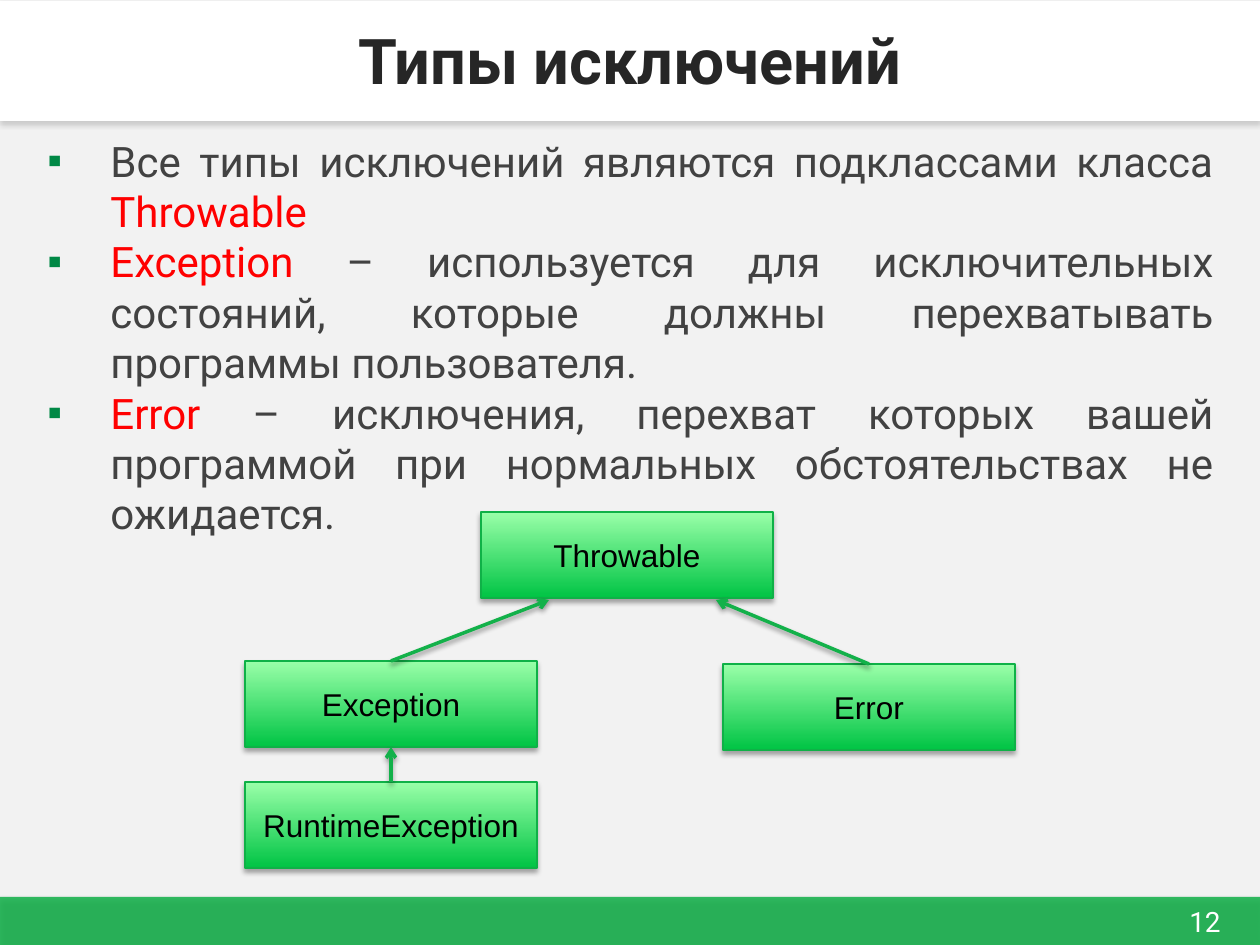
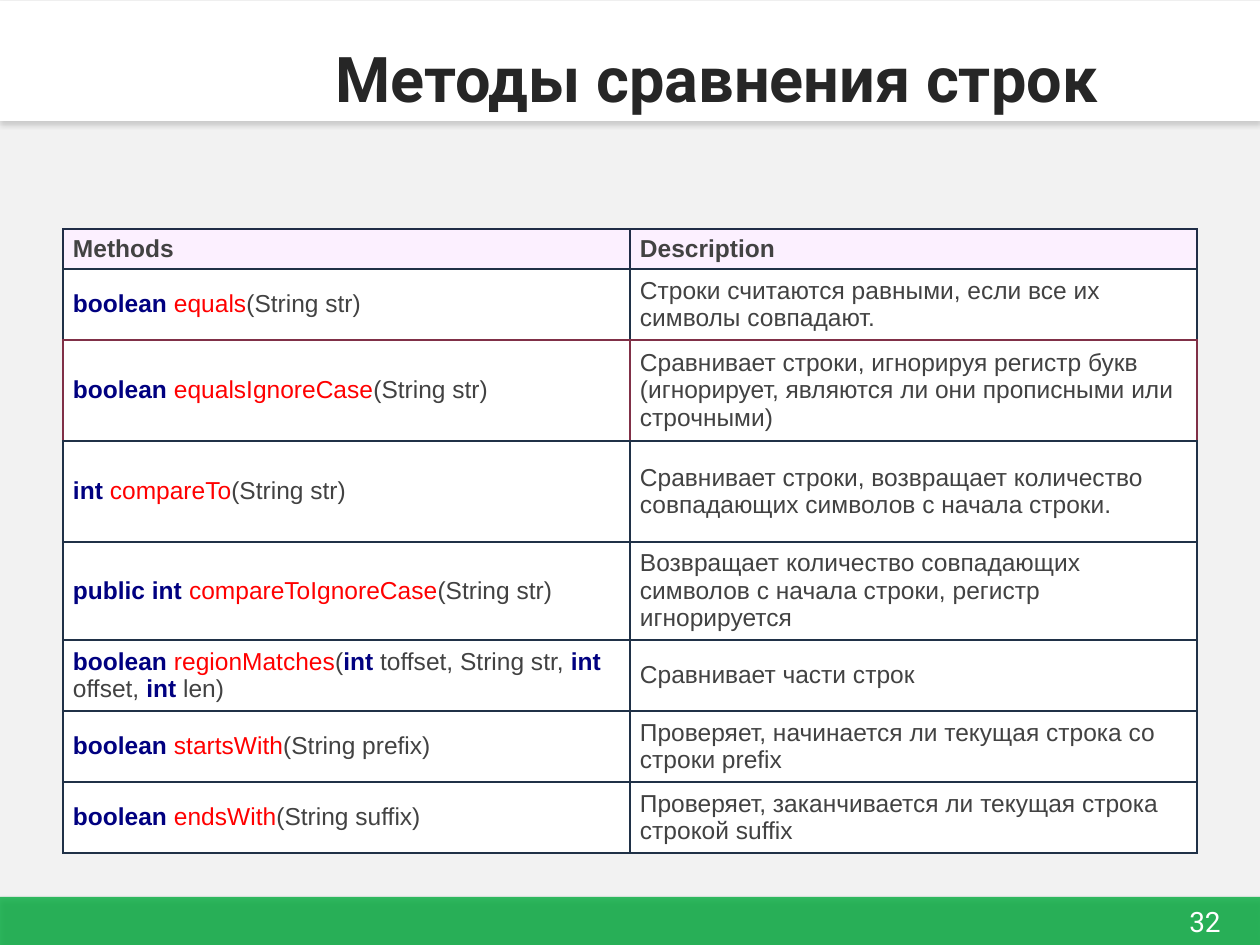
from pptx import Presentation
from pptx.dml.color import RGBColor
from pptx.enum.shapes import MSO_CONNECTOR as LINK, MSO_SHAPE as SHAPE
from pptx.enum.text import MSO_ANCHOR as ANCHOR, MSO_AUTO_SIZE as FIT, PP_ALIGN as ALIGN
from pptx.oxml import parse_xml
from pptx.oxml.ns import nsdecls
from pptx.util import Emu, Pt

WIDE, HIGH = 1260, 945
BACK, WHITE, BLACK = "F2F2F2", "FFFFFF", "000000"
GREEN, EDGE, BULLET = "13B14A", "0FB147", "008845"
DARK, GRAY, RED, NAVY = "262626", "424242", "FF0000", "000080"
LIGHT, DEEP = "9AFFA9", "00C444"
PINK, RULE = "FCF0FF", "203147"
TONES = {0: "202D47", 2: "803047"}
HEAD, BODY = "Roboto", "Arial"
STYLES = {"text": (GRAY, False), "hot": (RED, False),
          "key": (NAVY, True), "head": (GRAY, True),
          "title": (DARK, True), "page": (WHITE, False), "box": (BLACK, False)}

POINTS = [
    [("text", "Все типы исключений являются подклассами класса "), ("hot", "Throwable")],
    [("hot", "Exception"),
     ("text", " – используется для исключительных состояний, которые должны "
              "перехватывать программы пользователя.")],
    [("hot", "Error"),
     ("text", " – исключения, перехват которых вашей программой при нормальных "
              "обстоятельствах не ожидается.")],
]


def method(kind, name, args):
    return [("key", kind + " "), ("hot", name), ("text", args)]


METHODS = [
    (method("boolean", "equals", "(String str)"),
     "Строки считаются равными, если все их символы совпадают."),
    (method("boolean", "equalsIgnoreCase", "(String str)"),
     "Сравнивает строки, игнорируя регистр букв (игнорирует, являются ли они "
     "прописными или строчными)"),
    (method("int", "compareTo", "(String str)"),
     "Сравнивает строки, возвращает количество совпадающих символов с начала строки."),
    (method("public int", "compareToIgnoreCase", "(String str)"),
     "Возвращает количество совпадающих символов с начала строки, регистр игнорируется"),
    (method("boolean", "regionMatches", "(")
     + [("key", "int"), ("text", " toffset, String str, "),
        ("key", "int"), ("text", " offset, "),
        ("key", "int"), ("text", " len)")],
     "Сравнивает части строк"),
    (method("boolean", "startsWith", "(String prefix)"),
     "Проверяет, начинается ли текущая строка со строки prefix"),
    (method("boolean", "endsWith", "(String suffix)"),
     "Проверяет, заканчивается ли текущая строка строкой suffix"),
]
ROWS = [40, 71, 101, 101, 98, 71, 71, 71]


def px(*nums):
    return [Emu(round(num * 914400 / 126)) for num in nums]


def rgb(code):
    return RGBColor.from_string(code)


def node(tag, body):
    return parse_xml(f"<a:{tag} {nsdecls('a')}{body}")


def shade(item, color=BLACK, alpha=35):
    item.element.spPr.append(node("effectLst", (
        '><a:outerShdw blurRad="39370" dist="22860" dir="5400000" rotWithShape="0">'
        f'<a:srgbClr val="{color}"><a:alpha val="{alpha * 1000}"/></a:srgbClr>'
        "</a:outerShdw></a:effectLst>")))


def write(para, runs, size, font, align=ALIGN.LEFT):
    para.alignment = align
    for style, text in runs:
        run = para.add_run()
        run.text = text
        run.font.size, run.font.name = Pt(size), font
        color, run.font.bold = STYLES[style]
        run.font.color.rgb = rgb(color)


def setup(frame, anchor):
    frame.word_wrap = True
    frame.auto_size = FIT.NONE
    frame.vertical_anchor = anchor


def band(page, top, tall, color, tint, alpha=100):
    bar = page.shapes.add_shape(SHAPE.RECTANGLE, *px(0, top, WIDE, tall))
    bar.fill.solid()
    bar.fill.fore_color.rgb = rgb(color)
    if alpha < 100:
        tone = bar.element.spPr.find(".//{*}srgbClr")
        tone.append(node("alpha", f' val="{alpha * 1000}"/>'))
    bar.line.fill.background()
    shade(bar, tint)
    page.shapes.title.element.addprevious(bar.element)


def start(deck, name, place, anchor, align, number):
    page = deck.slides.add_slide(deck.slide_layouts[5])
    page.background.fill.solid()
    page.background.fill.fore_color.rgb = rgb(BACK)
    band(page, 897, 48, GREEN, BLACK, 86)
    band(page, 1, 120, WHITE, "808080")
    title = page.shapes.title
    title.left, title.top, title.width, title.height = px(*place)
    setup(title.text_frame, anchor)
    write(title.text_frame.paragraphs[0], [("title", name)], 36, HEAD, align)
    label = page.shapes.add_textbox(*px(1162, 898, 86, 47)).text_frame
    setup(label, ANCHOR.MIDDLE)
    write(label.paragraphs[0], [("page", number)], 16, HEAD, ALIGN.CENTER)
    return page


def bullets(page, items):
    frame = page.shapes.add_textbox(*px(35, 129, 1191, 496)).text_frame
    setup(frame, ANCHOR.TOP)
    for index, runs in enumerate(items):
        para = frame.add_paragraph() if index else frame.paragraphs[0]
        write(para, runs, 24, HEAD, ALIGN.JUSTIFY)
        props = para._p.get_or_add_pPr()
        props.set("marL", "457200")
        props.set("indent", "-457200")
        props.append(node("buClr", f'><a:srgbClr val="{BULLET}"/></a:buClr>'))
        props.append(node("buFont", f' typeface="{BODY}"/>'))
        props.append(node("buChar", ' char="▪"/>'))


def box(page, name, left, top):
    item = page.shapes.add_shape(SHAPE.RECTANGLE, *px(left, top, 292, 86))
    item.fill.gradient()
    item.fill.gradient_angle = 90
    for stop, color, spot in zip(item.fill.gradient_stops, (DEEP, LIGHT), (0, 1)):
        stop.color.rgb = rgb(color)
        stop.position = spot
    item.line.color.rgb = rgb(EDGE)
    item.line.width = Pt(0.75)
    shade(item)
    setup(item.text_frame, ANCHOR.MIDDLE)
    write(item.text_frame.paragraphs[0], [("box", name)], 18, BODY, ALIGN.CENTER)
    return item


def arrow(page, child, parent=None, tip=(0, 0)):
    line = page.shapes.add_connector(LINK.STRAIGHT, *px(0, 0, *tip))
    line.begin_connect(child, 0)
    if parent is not None:
        line.end_connect(parent, 2)
    line.line.color.rgb = rgb(GREEN)
    line.line.width = Pt(2)
    line.line._get_or_add_ln().append(node("tailEnd", ' type="arrow"/>'))
    shade(line, alpha=38)


def fill(cell, runs, color, tone, below):
    cell.vertical_anchor = ANCHOR.MIDDLE
    cell.margin_left, cell.margin_right = px(10, 10)
    cell.margin_top, cell.margin_bottom = px(5, 5)
    props = cell._tc.get_or_add_tcPr()
    for side, edge in zip("LRTB", (tone, tone, tone, below)):
        props.append(node(f"ln{side}", (
            f' w="12700"><a:solidFill><a:srgbClr val="{edge}"/></a:solidFill></a:ln{side}>')))
    cell.fill.solid()
    cell.fill.fore_color.rgb = rgb(color)
    write(cell.text_frame.paragraphs[0], runs, 14, BODY)


def grid(page):
    rows = [([("head", "Methods")], [("head", "Description")])]
    rows += [(code, [("text", note)]) for code, note in METHODS]
    table = page.shapes.add_table(len(rows), 2, *px(63, 229, 1134, sum(ROWS))).table
    table.first_row = table.horz_banding = False
    for index, (row, tall) in enumerate(zip(rows, ROWS)):
        table.rows[index].height = px(tall)[0]
        for col, runs in enumerate(row):
            fill(table.cell(index, col), runs, WHITE if index else PINK,
                 TONES.get(index, RULE), TONES.get(index + 1, RULE))


def types(deck):
    page = start(deck, "Типы исключений", (0, -1, WIDE, 121),
                 ANCHOR.MIDDLE, ALIGN.CENTER, "12")
    bullets(page, POINTS)
    box(page, "Throwable", 481, 512)
    error = box(page, "Error", 723, 664)
    runtime = box(page, "RuntimeException", 245, 782)
    caught = box(page, "Exception", 245, 661)
    arrow(page, caught, tip=(549, 600))
    arrow(page, error, tip=(716, 600))
    arrow(page, runtime, caught)


def strings(deck):
    page = start(deck, "Методы сравнения cтрок", (323, 0, 814, 121),
                 ANCHOR.BOTTOM, ALIGN.LEFT, "32")
    grid(page)


def main():
    deck = Presentation()
    deck.slide_width, deck.slide_height = px(WIDE, HIGH)
    types(deck)
    strings(deck)
    deck.save("out.pptx")


if __name__ == "__main__":
    main()
